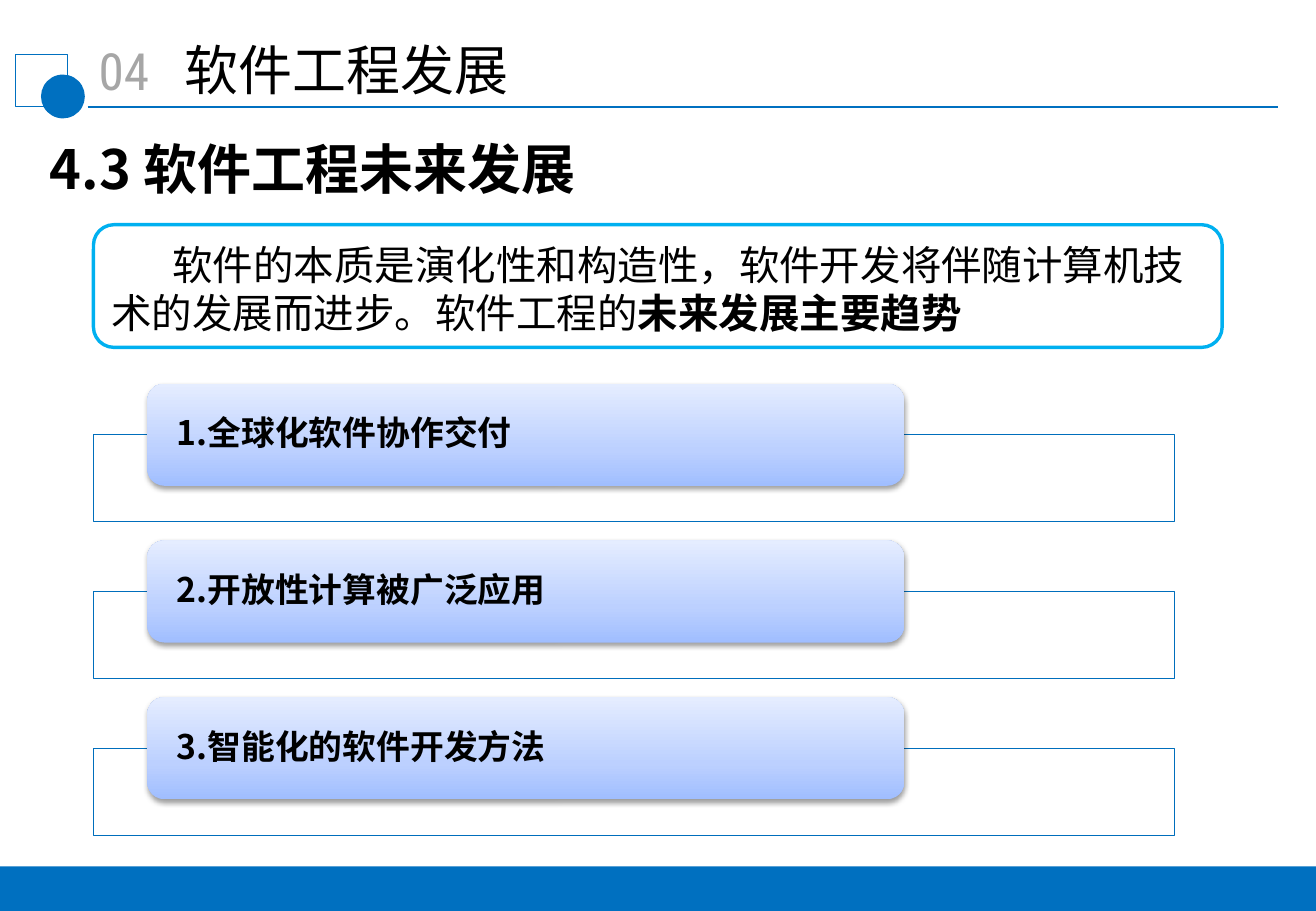
from lxml import etree
from pptx import Presentation
from pptx.dml.color import RGBColor
from pptx.enum.shapes import MSO_CONNECTOR, MSO_SHAPE
from pptx.enum.text import MSO_ANCHOR, PP_ALIGN
from pptx.oxml import parse_xml
from pptx.oxml.ns import qn
from pptx.util import Pt

RECT, OVAL, ROUND = MSO_SHAPE.RECTANGLE, MSO_SHAPE.OVAL, MSO_SHAPE.ROUNDED_RECTANGLE
MIDDLE = MSO_ANCHOR.MIDDLE
LEFT, CENTER = PP_ALIGN.LEFT, PP_ALIGN.CENTER
BLUE = RGBColor(0x00, 0x70, 0xC0)
FRAME_BLUE = RGBColor(0x00, 0x6E, 0xBC)
SKY = RGBColor(0x00, 0xB0, 0xF0)
GREY = RGBColor(0xA6, 0xA6, 0xA6)
WHITE = RGBColor(0xFF, 0xFF, 0xFF)
BLACK = RGBColor(0x00, 0x00, 0x00)
CJK = "Noto Sans CJK SC"
NS = 'xmlns:a="http://schemas.openxmlformats.org/drawingml/2006/main"'
CARD_GRADIENT = f'''<a:gradFill {NS} rotWithShape="1"><a:gsLst>
<a:gs pos="0"><a:srgbClr val="A0BEFF"/></a:gs>
<a:gs pos="35000"><a:srgbClr val="BCD0FF"/></a:gs>
<a:gs pos="100000"><a:srgbClr val="E5EDFF"/></a:gs>
</a:gsLst><a:lin ang="16200000" scaled="1"/></a:gradFill>'''
CARD_SHADOW = f'''<a:effectLst {NS}><a:outerShdw blurRad="40000" dist="20000" dir="5400000"
rotWithShape="0"><a:srgbClr val="000000"><a:alpha val="38000"/></a:srgbClr></a:outerShdw></a:effectLst>'''

prs = Presentation()
prs.slide_width, prs.slide_height = Pt(780), Pt(540)
s = prs.slides.add_slide(prs.slide_layouts[6])


def add_box(kind, x, y, w, h, fill=None, line=None, width=0.75):
    sp = s.shapes.add_shape(kind, Pt(x), Pt(y), Pt(w), Pt(h))
    sp.shadow.inherit = False
    if fill is None:
        sp.fill.background()
    else:
        sp.fill.solid()
        sp.fill.fore_color.rgb = fill
    if line is None:
        sp.line.fill.background()
    else:
        sp.line.color.rgb = line
        sp.line.width = Pt(width)
    return sp


def add_run(p, text, size, font=CJK, bold=False, color=BLACK):
    r = p.add_run()
    r.text = text
    r.font.size, r.font.bold, r.font.name = Pt(size), bold, font
    r.font.color.rgb = color
    etree.SubElement(r.font._element, qn("a:ea")).set("typeface", CJK)


# Header rule and emblem
rule = s.shapes.add_connector(MSO_CONNECTOR.STRAIGHT, Pt(52), Pt(63.2), Pt(757.5), Pt(63.2))
rule.line.color.rgb = BLUE
rule.line.width = Pt(1.25)
etree.SubElement(rule._element.spPr, qn("a:effectLst"))
add_box(RECT, 9.2, 32.2, 31, 31, line=BLUE)
add_box(OVAL, 24.3, 44.2, 26, 26, fill=BLUE)

# Section number, section title and heading
for text, x, y, w, h, inset, align, size, font, bold, color in [
    ("04", 37.5, 19.5, 72, 44.5, 7.2, CENTER, 30.4, "Roboto Condensed", False, GREY),
    ("软件工程发展", 101.7, 17.3, 356, 46.8, 7.9, LEFT, 32, "Arial", False, BLACK),
    ("4.3 软件工程未来发展", 24.5, 76, 644, 47.5, 5, LEFT, 32, CJK, True, BLACK),
]:
    tf = s.shapes.add_textbox(Pt(x), Pt(y), Pt(w), Pt(h)).text_frame
    tf.word_wrap = True
    tf.vertical_anchor = MIDDLE
    tf.margin_left = tf.margin_right = Pt(inset)
    tf.margin_top = tf.margin_bottom = 0
    p = tf.paragraphs[0]
    p.alignment = align
    add_run(p, text, size, font, bold, color)

# Introduction
intro = add_box(ROUND, 55.4, 133.2, 669, 72.7, fill=WHITE, line=SKY, width=2)
tf = intro.text_frame
tf.word_wrap = True
tf.vertical_anchor = MIDDLE
tf.margin_top, tf.margin_bottom = Pt(5), Pt(2)
p = tf.paragraphs[0]
p.alignment = LEFT
p.line_spacing = Pt(28.4)
p._p.get_or_add_pPr().set("indent", str(Pt(36)))
add_run(p, "软件的本质是演化性和构造性，软件开发将伴随计算机技术的发展而进步。软件工程的",
        24, "Times New Roman")
add_run(p, "未来发展主要趋势", 24, bold=True)

# Trend cards
TRENDS = ["全球化软件协作交付", "开放性计算被广泛应用", "智能化的软件开发方法"]
for i, trend in enumerate(TRENDS):
    y = 227.5 + 92.9 * i
    add_box(RECT, 55.4, y + 30.2, 641, 51.6, fill=WHITE, line=FRAME_BLUE)
    card = add_box(ROUND, 87.4, y, 448.5, 60.5)
    spPr = card._element.spPr
    spPr.replace(spPr.find(qn("a:noFill")), parse_xml(CARD_GRADIENT))
    spPr.replace(spPr.find(qn("a:effectLst")), parse_xml(CARD_SHADOW))
    tf = card.text_frame
    tf.word_wrap = True
    tf.vertical_anchor = MIDDLE
    tf.margin_left = tf.margin_right = Pt(14.4)
    tf.margin_top = tf.margin_bottom = 0
    p = tf.paragraphs[0]
    p.alignment = LEFT
    p.line_spacing = 0.9
    add_run(p, f"{i + 1}.{trend}", 20, bold=True)

# Footer band
add_box(RECT, 0, 513.5, 780, 26.5, fill=BLUE)

prs.save("out.pptx")
